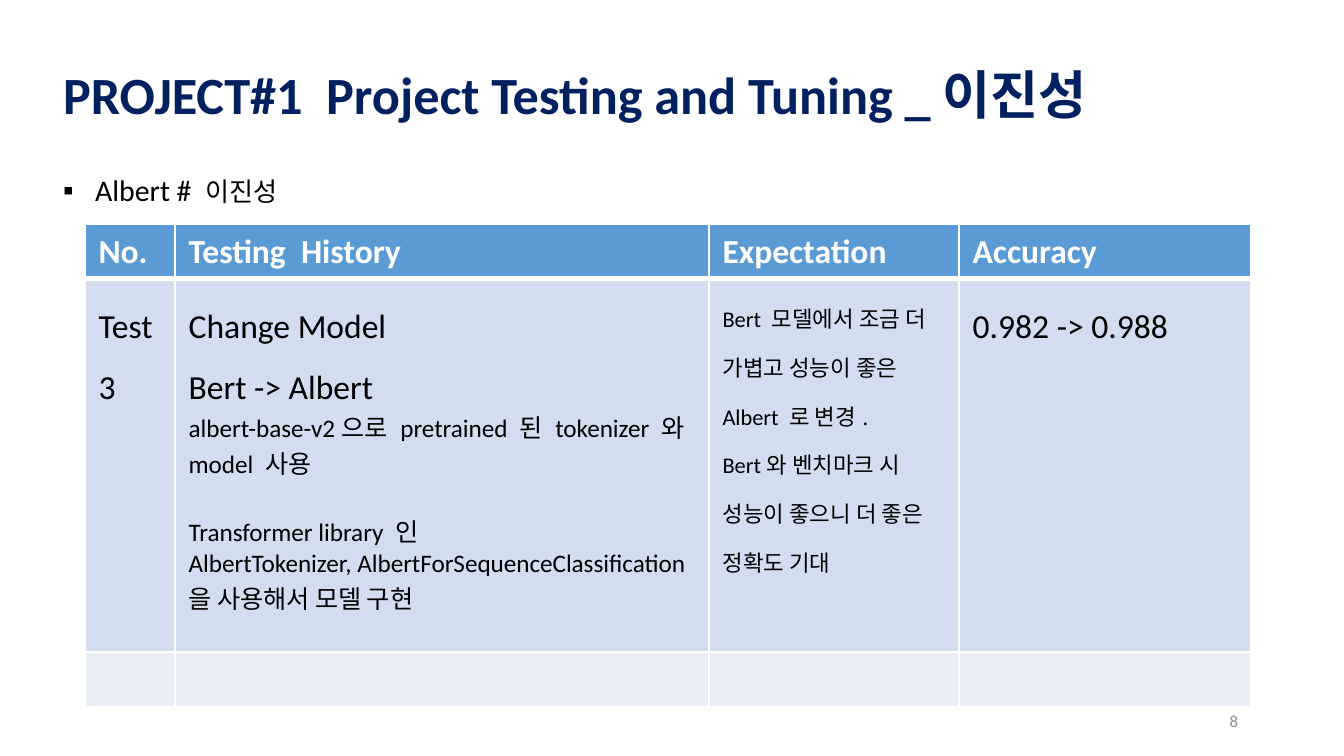
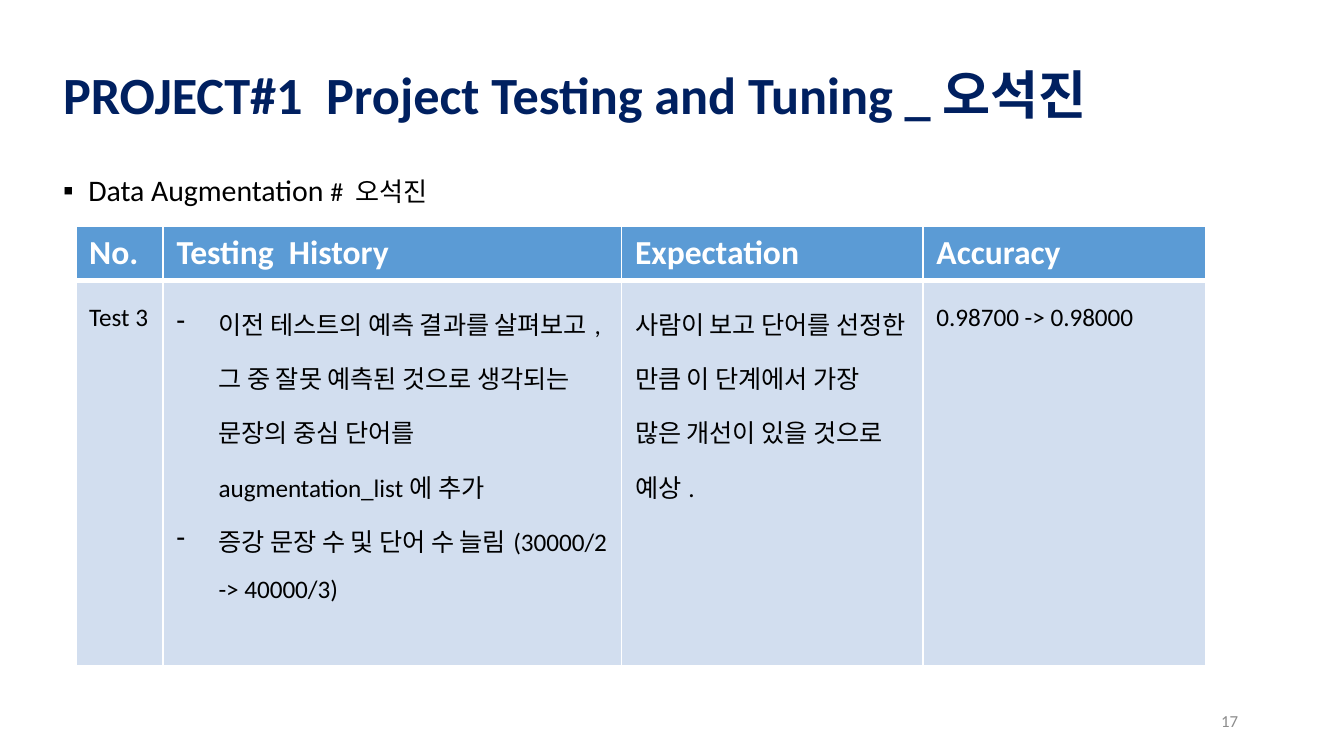
import dataclasses

import pptx
import pptx.dml.color
import pptx.enum.text
import pptx.oxml.ns
import pptx.util
from lxml import etree

Pt = pptx.util.Pt
ALIGN = pptx.enum.text.PP_ALIGN
MIDDLE = pptx.enum.text.MSO_ANCHOR.MIDDLE

FONT = "Calibri"
COLORS = {
    "white": "FFFFFF",
    "title": "002060",
    "text": "000000",
    "page": "8C8C8C",
    "header": "5B9BD5",
    "band_dark": "D2DEEF",
    "band_light": "EAEFF7",
}
HEADINGS = ["No.", "Testing  History", "Expectation", "Accuracy"]


@dataclasses.dataclass
class Line:
    """One paragraph of a table cell."""
    text: str
    size: float = 13.5
    spacing: float = 1.5
    before: float = 0
    dash: bool = False


def rgb(color):
    """Return the colour object for a named colour."""
    return pptx.dml.color.RGBColor.from_string(COLORS[color])


def style_font(font, size, color, bold=False):
    """Set face, size, colour and weight of a font."""
    font.name = FONT
    font.size = Pt(size)
    font.color.rgb = rgb(color)
    font.bold = bold


def place(shape, left, top, width, height):
    """Position a shape, in points."""
    shape.left, shape.top = Pt(left), Pt(top)
    shape.width, shape.height = Pt(width), Pt(height)


def add_bullet(paragraph, mark, indent):
    """Give a paragraph a hanging bullet; call before setting its font."""
    properties = paragraph._p.get_or_add_pPr()
    properties.set("marL", str(Pt(indent)))
    properties.set("indent", str(-Pt(indent)))
    bullet = etree.SubElement(properties, pptx.oxml.ns.qn("a:buChar"))
    bullet.set("char", mark)


def add_title(slide, text):
    """Fill the title placeholder."""
    title = slide.shapes.title
    place(title, 26.6, 20.2, 632.9, 59.8)
    title.fill.solid()
    title.fill.fore_color.rgb = rgb("white")
    frame = title.text_frame
    frame.text = text
    frame.word_wrap = True
    frame.auto_size = pptx.enum.text.MSO_AUTO_SIZE.NONE
    frame.vertical_anchor = MIDDLE
    heading = frame.paragraphs[0]
    heading.alignment = ALIGN.LEFT
    style_font(heading.font, 28, "title", bold=True)


def add_topic(slide, parts, indent):
    """Fill the body placeholder with one bullet made of (text, size) parts."""
    body = slide.placeholders[1]
    place(body, 26.6, 90.7, 555.8, 274.3)
    body.text_frame.auto_size = pptx.enum.text.MSO_AUTO_SIZE.NONE
    topic = body.text_frame.paragraphs[0]
    add_bullet(topic, "▪", indent)
    topic.alignment = ALIGN.LEFT
    topic.line_spacing = 0.9
    topic.space_before = Pt(7.5)
    for text, size in parts:
        run = topic.add_run()
        run.text = text
        style_font(run.font, size, "text")


def add_page_number(slide, number):
    """Write the page number at the bottom right."""
    footer = slide.shapes.add_textbox(Pt(508.3), Pt(375.1), Pt(162), Pt(21.6))
    frame = footer.text_frame
    frame.word_wrap = True
    frame.vertical_anchor = MIDDLE
    frame.text = str(number)
    page = frame.paragraphs[0]
    page.alignment = ALIGN.RIGHT
    style_font(page.font, 9, "page")


def add_borders(cell, top, bottom):
    """Draw white cell borders; the sides are always 1 pt."""
    properties = cell._tc.get_or_add_tcPr()
    for edge, width in (("L", 1), ("R", 1), ("T", top), ("B", bottom)):
        line = etree.SubElement(properties, pptx.oxml.ns.qn("a:ln" + edge))
        line.set("w", str(Pt(width)))
        fill = etree.SubElement(line, pptx.oxml.ns.qn("a:solidFill"))
        color = etree.SubElement(fill, pptx.oxml.ns.qn("a:srgbClr"))
        color.set("val", COLORS["white"])


def fill_cell(cell, lines, color, bold):
    """Write the paragraphs of one cell."""
    frame = cell.text_frame
    for index, line in enumerate(lines):
        paragraph = frame.add_paragraph() if index else frame.paragraphs[0]
        if line.dash:
            add_bullet(paragraph, "-", 22.5)
        paragraph.add_run().text = line.text
        paragraph.line_spacing = line.spacing
        if line.before:
            paragraph.space_before = Pt(line.before)
        style_font(paragraph.font, line.size, color, bold)


def add_history(slide, left, top, widths, heights, tests):
    """Add the test history table: a heading row, then banded test rows."""
    rows = [[[Line(text, 18, 1)] for text in HEADINGS]] + tests
    table = slide.shapes.add_table(
        len(rows), len(widths), Pt(left), Pt(top),
        Pt(sum(widths)), Pt(sum(heights))).table
    for column, width in zip(table.columns, widths):
        column.width = Pt(width)
    for r, (row, height) in enumerate(zip(rows, heights)):
        table.rows[r].height = Pt(height)
        is_header = r == 0
        band = "header" if is_header else ("band_light", "band_dark")[r % 2]
        for c, lines in enumerate(row):
            cell = table.cell(r, c)
            add_borders(cell, 3 if r == 1 else 1, 3 if is_header else 1)
            cell.fill.solid()
            cell.fill.fore_color.rgb = rgb(band)
            fill_cell(cell, lines, "white" if is_header else "text", is_header)


def add_report(deck, author, topic, indent, page):
    """Add a slide with the shared title, topic line and page number."""
    slide = deck.slides.add_slide(deck.slide_layouts[1])
    add_title(slide, f"PROJECT#1  Project Testing and Tuning _{author}")
    add_topic(slide, topic, indent)
    add_page_number(slide, page)
    return slide


def main():
    """Build and save the deck."""
    deck = pptx.Presentation()
    deck.slide_width, deck.slide_height = Pt(720), Pt(405)

    albert = add_report(deck, "이진성", [("Albert # ", 16), ("이진성", 14)],
                        17.2, 8)
    model_test = [
        [Line("Test 3", 18)],
        [Line("Change Model", 18),
         Line("Bert -> Albert", 18),
         Line("albert-base-v2으로 pretrained 된 tokenizer 와 model 사용",
              spacing=1),
         Line("Transformer library 인", spacing=1, before=16.5),
         Line("AlbertTokenizer, AlbertForSequenceClassification", spacing=1),
         Line("을 사용해서 모델 구현", spacing=1)],
        [Line("Bert 모델에서 조금 더 가볍고 성능이 좋은 Albert 로 변경.", 12),
         Line("Bert와 벤치마크 시 성능이 좋으니 더 좋은 정확도 기대", 12)],
        [Line("0.982 -> 0.988", 18)],
    ]
    untested = [[] for _ in HEADINGS]
    add_history(albert, 45.6, 120.2, [48.3, 286, 134, 156.3],
                [29.2, 200, 29.2], [model_test, untested])

    augmentation = add_report(
        deck, "오석진", [("Data Augmentation ", 16), ("# 오석진", 14)], 13.5, 17)
    wording_test = [
        [Line("Test 3")],
        [Line("이전 테스트의 예측 결과를 살펴보고, 그 중 잘못 예측된 것으로 "
              "생각되는 문장의 중심 단어를 augmentation_list에 추가", dash=True),
         Line("증강 문장 수 및 단어 수 늘림(30000/2 -> 40000/3)", dash=True)],
        [Line("사람이 보고 단어를 선정한 만큼 이 단계에서 가장 많은 개선이 "
              "있을 것으로 예상.")],
        [Line("0.98700 -> 0.98000")],
    ]
    add_history(augmentation, 40.6, 121.2, [46.8, 245.6, 161.5, 151.5],
                [28.4, 206.6], [wording_test])

    deck.save("out.pptx")


main()
